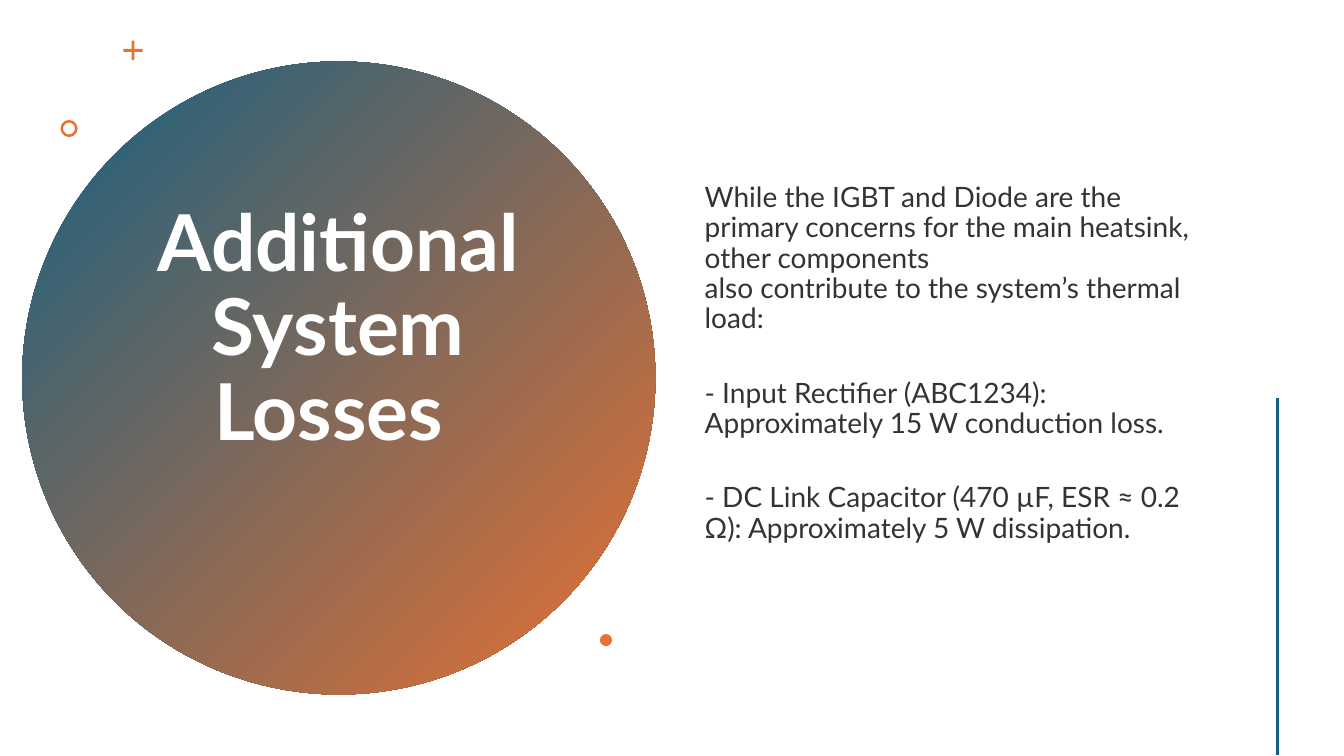
from lxml.etree import SubElement
from pptx import Presentation
from pptx.dml.color import RGBColor
from pptx.enum.shapes import MSO_CONNECTOR as CONNECTOR, MSO_SHAPE as SHAPE
from pptx.enum.text import MSO_ANCHOR as ANCHOR, PP_ALIGN as ALIGN
from pptx.oxml.ns import qn
from pptx.util import Inches, Pt

BLUE, ORANGE, WHITE, INK = "156082", "E97132", "FFFFFF", "333333"
FONT = "Lato"
TITLE = "Additional System Losses "
INTRO = ("While the IGBT and Diode are the primary concerns for the main heatsink, "
         "other components\valso contribute to the system’s thermal load:")
LOSSES = [
    "- Input Rectifier (ABC1234): Approximately 15 W conduction loss.",
    "- DC Link Capacitor (470 µF, ESR ≈ 0.2 Ω): Approximately 5 W dissipation.",
]


def color(hex_code):
    return RGBColor.from_string(hex_code)


def add_plain_shape(slide, kind, left, top, width, height, fill=ORANGE):
    shape = slide.shapes.add_shape(kind, Inches(left), Inches(top), Inches(width), Inches(height))
    shape.shadow.inherit = False
    shape.line.fill.background()
    shape.fill.solid()
    shape.fill.fore_color.rgb = color(fill)
    return shape


def add_text(slide, box, paragraphs, size, ink, bottom, bold=False, align=ALIGN.LEFT, gap=0):
    """Write middle-anchored paragraphs, with `gap` points between them."""
    frame = slide.shapes.add_textbox(*map(Inches, box)).text_frame
    frame.word_wrap = True
    frame.vertical_anchor = ANCHOR.MIDDLE
    frame.margin_bottom = Inches(bottom)
    for index, text in enumerate(paragraphs):
        paragraph = frame.add_paragraph() if index else frame.paragraphs[0]
        paragraph.text = text
        paragraph.alignment = align
        paragraph.line_spacing = 0.9
        paragraph.space_before = Pt(gap if index else 0)
        font = paragraph.font
        font.name, font.size, font.bold = FONT, Pt(size), bold
        font.color.rgb = color(ink)


def add_title_disc(slide, left, top, size):
    # Gradient disc
    disc = add_plain_shape(slide, SHAPE.OVAL, left, top, size, size)
    disc.fill.gradient()
    disc.fill.gradient_angle = 315
    for stop, hex_code in zip(disc.fill.gradient_stops, (BLUE, ORANGE)):
        stop.color.rgb = color(hex_code)

    # Title
    add_text(slide, (left + 1.14, top + 0.8, 3.99, 4.67), [TITLE], 56, WHITE,
             bottom=0.98, bold=True, align=ALIGN.CENTER)

    # Plus, ring and dot around the disc
    plus = add_plain_shape(slide, SHAPE.MATH_PLUS, left + 0.97, top - 0.24, 0.26, 0.26)
    plus.adjustments[0] = 0.11
    ring = add_plain_shape(slide, SHAPE.DONUT, left + 0.38, top + 0.58, 0.17, 0.17)
    ring.adjustments[0] = 0.15
    add_plain_shape(slide, SHAPE.OVAL, left + 5.73, top + 5.68, 0.12, 0.12)


def add_losses(slide, left, top, width, height):
    add_text(slide, (left, top, width, height), [INTRO, *LOSSES], 20, INK,
             bottom=0.35, gap=31.6)


def add_edge_line(slide, x, top, bottom):
    edge = slide.shapes.add_connector(CONNECTOR.STRAIGHT, Inches(x), Inches(top),
                                      Inches(x), Inches(bottom))
    edge.line.color.rgb = color(BLUE)
    edge.line.width = Pt(2)
    SubElement(edge._element.spPr, qn("a:effectLst"))


def main():
    deck = Presentation()
    deck.slide_width, deck.slide_height = Inches(13.33), Inches(7.5)
    slide = deck.slides.add_slide(deck.slide_layouts[6])
    add_title_disc(slide, 0.22, 0.61, 6.28)
    add_losses(slide, 6.89, 0.57, 5.22, 6.38)
    add_edge_line(slide, 12.67, 3.95, 7.49)
    deck.save("out.pptx")


if __name__ == "__main__":
    main()
